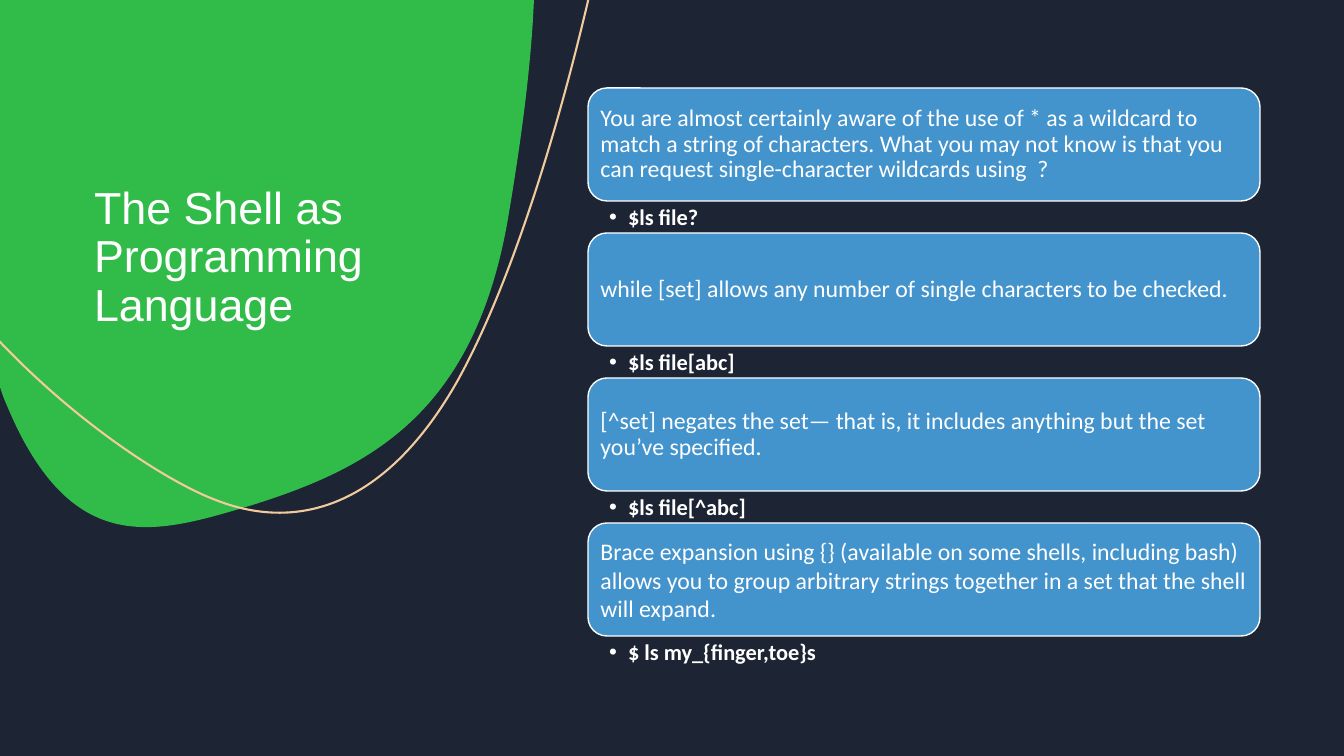
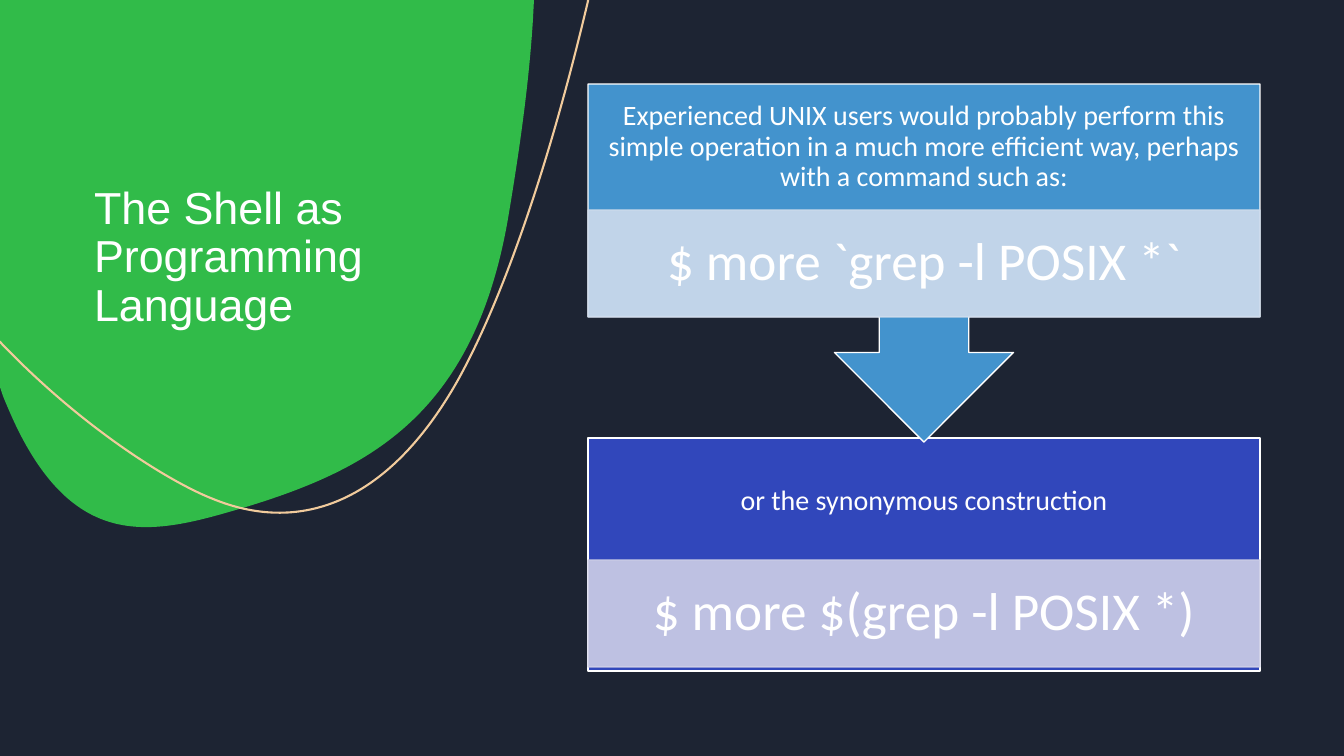
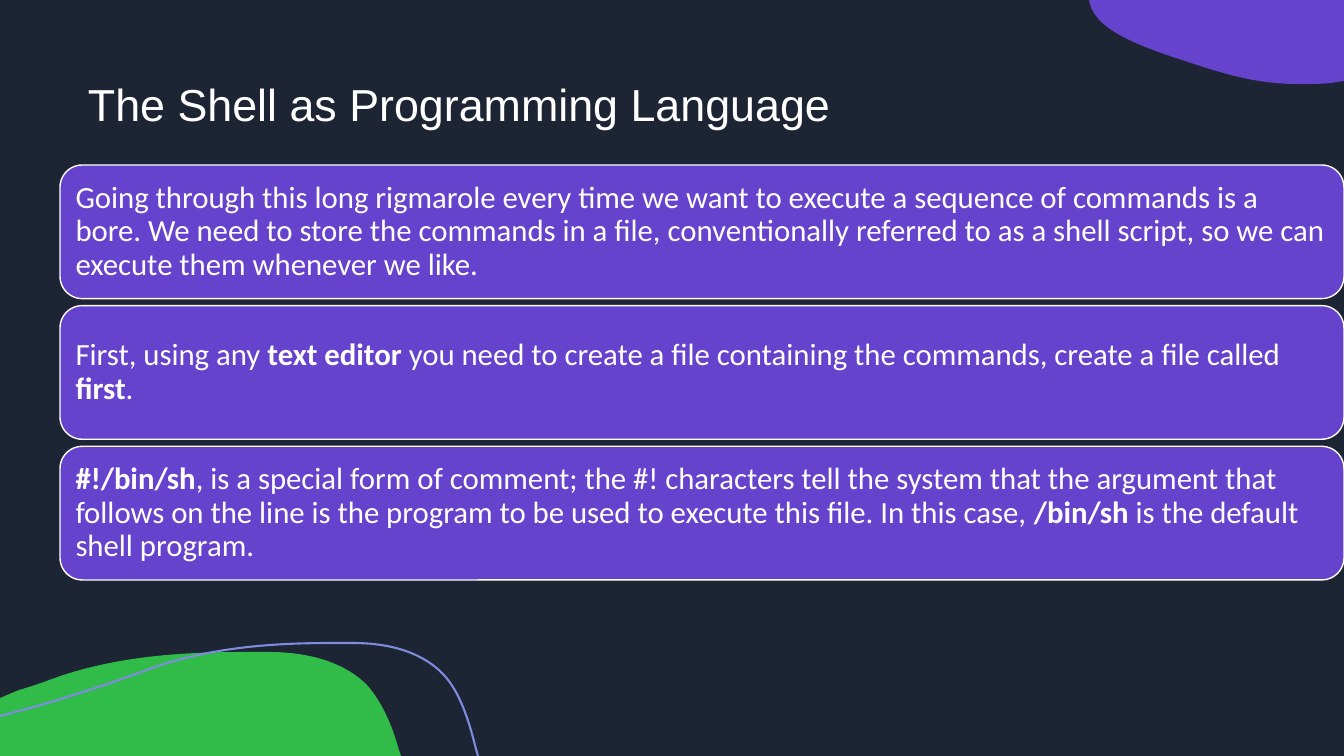
from dataclasses import dataclass

from lxml import etree
from pptx import Presentation
from pptx import util as u
from pptx.dml.color import RGBColor
from pptx.enum import shapes, text
from pptx.oxml import ns

PX = 914400 / 100.8
WIDE, HIGH = 1344, 756
KIND = shapes.MSO_SHAPE
MID, LOW = text.MSO_ANCHOR.MIDDLE, text.MSO_ANCHOR.BOTTOM
LEFT, MIDST = text.PP_ALIGN.LEFT, text.PP_ALIGN.CENTER


@dataclass(frozen=True)
class Theme:
    night: str = "1D2433"
    white: str = "FFFFFF"
    green: str = "31BB49"
    violet: str = "6643CD"
    blue: str = "4393CD"
    indigo: str = "3147BB"
    sand: str = "F1CB9C"
    lilac: str = "7D8CDD"
    pale: str = "CFDCED"
    mauve: str = "CECFE7"
    head: str = "Arial"
    body: str = "Calibri"
    title: int = 32
    code: int = 38
    large: int = 22
    step: int = 20
    card: int = 17
    note: int = 16


T = Theme()
TITLE = "The Shell as Programming Language"

# Outlines: pairs are corners, sixes are cubic curves (two controls, end).
BLOB = [(534, 0), (533, 20), (529, 83, 520, 147, 509, 213),
        (476, 414, 370, 469, 246, 507), (162, 532, 87, 553, 26, 445),
        (17, 429, 10, 413, 3, 396), (0, 387), (0, 0)]
ROPE = [(588, 0), (588, 1), (551, 158, 505, 295, 458, 380),
        (386, 508, 296, 533, 213, 499), (174, 484, 85, 431, 0, 342), (0, 341)]
CLOUD = [(255, 0), (0, 0), (1, 4), (8, 31, 53, 47, 96, 61),
         (132, 73, 169, 85, 214, 84), (223, 84, 232, 84, 242, 83), (255, 81)]
HILL = [(242, 9), (178, 9, 112, 14, 52, 36), (41, 40, 30, 44, 19, 47),
        (0, 55), (0, 113), (401, 113), (399, 107),
        (392, 82, 382, 59, 367, 42), (342, 17, 304, 9, 269, 9)]
WAVE = [(478, 113), (476, 106), (469, 78, 460, 48, 442, 30),
        (419, 7, 385, 0, 353, 0), (329, 0), (270, 0, 210, 5, 155, 24),
        (115, 39, 75, 52, 34, 64), (0, 73)]

WILDCARDS = [
    ("You are almost certainly aware of the use of * as a wildcard to match a "
     "string of characters. What you may not know is that you can request "
     "single-character wildcards using  ?", "$ls file?", 0.9),
    ("while [set] allows any number of single characters to be checked.",
     "$ls file[abc]", 0.9),
    ("[^set] negates the set— that is, it includes anything but the set "
     "you’ve specified.", "$ls file[^abc]", 0.9),
    ("Brace expansion using {} (available on some shells, including bash) "
     "allows you to group arbitrary strings together in a set that the shell "
     "will expand.", "$ ls my_{finger,toe}s", 1.0),
]
SCRIPTS = [
    ("Going through this long rigmarole every time we want to execute a "
     "sequence of commands is a bore. We need to store the commands in a file, "
     "conventionally referred to as a shell script, so we can execute them "
     "whenever we like.", None, 0.9),
    ("First, using any **text editor **you need to create a file containing "
     "the commands, create a file called **first**.", None, 0.9),
    ("**#!/bin/sh**, is a special form of comment; the #! characters tell the "
     "system that the argument that follows on the line is the program to be "
     "used to execute this file. In this case, **/bin/sh **is the default "
     "shell program.", None, 0.9),
]


def emu(px):
    return u.Emu(round(px * PX))


def assign(item, **values):
    for name, value in values.items():
        setattr(item, name, value)


def place(shape, box):
    names = ("left", "top", "width", "height")
    assign(shape, **{name: emu(px) for name, px in zip(names, box)})


def paint(shape, fill=None, line=None, weight=1):
    shape.shadow.inherit = False
    for part, tint in ((shape.fill, fill), (shape.line.fill, line)):
        if tint:
            part.solid()
            part.fore_color.rgb = RGBColor.from_string(tint)
        else:
            part.background()
    if line:
        shape.line.width = u.Pt(weight)


def fade(shape, share):
    """Make fill and line opaque by the given percentage only."""
    for tint in shape.element.spPr.iter(ns.qn("a:srgbClr")):
        etree.SubElement(tint, ns.qn("a:alpha"), val=str(share * 1000))


def add(slide, kind, box, **look):
    shape = slide.shapes.add_shape(kind, *map(emu, box))
    paint(shape, **look)
    return shape


def label(slide, box):
    return slide.shapes.add_textbox(*map(emu, box))


def write(shape, words, size, font=T.body, bold=False, align=LEFT,
          anchor=MID, pads=(7, 7, 7, 7), space=0.9):
    """Fill the shape with one paragraph; ** switches bold on and off."""
    sides = ("margin_left", "margin_top", "margin_right", "margin_bottom")
    frame = shape.text_frame
    assign(frame, word_wrap=True, auto_size=text.MSO_AUTO_SIZE.NONE,
           vertical_anchor=anchor,
           **{side: emu(pad) for side, pad in zip(sides, pads)})
    para = frame.paragraphs[0]
    assign(para, alignment=align, line_spacing=space)
    for i, part in enumerate(words.split("**")):
        if part:
            run = para.add_run()
            run.text = part
            assign(run.font, name=font, size=u.Pt(size), bold=bold or i % 2 == 1)
            run.font.color.rgb = RGBColor.from_string(T.white)
    return para


def bullet(para, indent):
    props = para._p.get_or_add_pPr()
    props.set("marL", str(emu(indent)))
    props.set("indent", str(-emu(indent)))
    etree.SubElement(props, ns.qn("a:buFont"), typeface="Arial")
    etree.SubElement(props, ns.qn("a:buChar"), char="•")


def pairs(part):
    return list(zip(part[::2], part[1::2]))


def trace(parts, steps=16):
    """Turn corners and cubic curves into points, to learn their extent."""
    points = [parts[0]]
    for part in parts[1:]:
        if len(part) == 2:
            points.append(part)
            continue
        knots = [points[-1], *pairs(part)]
        for i in range(1, steps + 1):
            t = i / steps
            mix = ((1 - t) ** 3, 3 * t * (1 - t) ** 2, 3 * t * t * (1 - t), t ** 3)
            points.append(tuple(sum(m * k[axis] for m, k in zip(mix, knots))
                                for axis in (0, 1)))
    return points


def bend(shape, x, y, parts):
    """Replace the traced lines of a freeform by its corners and curves."""
    route = shape.element.spPr.find(".//" + ns.qn("a:path"))
    for line in route.findall(ns.qn("a:lnTo")):
        route.remove(line)
    for spot, part in enumerate(parts[1:], 1):
        tag = "a:lnTo" if len(part) == 2 else "a:cubicBezTo"
        move = etree.Element(ns.qn(tag))
        for a, b in pairs(part):
            etree.SubElement(move, ns.qn("a:pt"), x=str(emu(x + a) - shape.left),
                             y=str(emu(y + b) - shape.top))
        route.insert(spot, move)


def outline(slide, x, y, parts, **look):
    points = [(emu(x + a), emu(y + b)) for a, b in trace(parts)]
    pen = slide.shapes.build_freeform(*points[0], scale=1.0)
    pen.add_line_segments(points[1:], close="fill" in look)
    shape = pen.convert_to_shape()
    bend(shape, x, y, parts)
    paint(shape, **look)


def heading(slide, box, anchor):
    """Format the title and bring it in front of the backdrop."""
    title = slide.shapes.title
    place(title, box)
    write(title, TITLE, T.title, T.head, anchor=anchor, pads=(10, 5, 10, 5))
    title.element.getparent().append(title.element)


def ground(slide):
    add(slide, KIND.RECTANGLE, (0, 0, WIDE, HIGH), fill=T.night)


def side(slide, x, y):
    """Blob at the left edge with the title on it."""
    outline(slide, x, y, BLOB, fill=T.green)
    outline(slide, x, y, ROPE, line=T.sand, weight=1.5)
    heading(slide, (x + 84, y + 84, 336, 252), LOW)


def corners(slide, wide, high):
    outline(slide, wide - 255, 0, CLOUD, fill=T.violet)
    outline(slide, 0, high - 113, HILL, fill=T.green)
    outline(slide, 0, high - 113, WAVE, line=T.lilac, weight=1.5)


def cards(slide, box, items, gap, fill, size, pad):
    """Stack equal cards; a card's note fills the gap below it."""
    x, y, w, h = box
    pitch = (h + gap) / len(items)
    for i, (words, note, space) in enumerate(items):
        top = y + i * pitch
        card = add(slide, KIND.ROUNDED_RECTANGLE, (x, top, w, pitch - gap),
                   fill=fill, line=T.white)
        write(card, words, size, pads=(pad,) * 4, space=space)
        if note:
            spot = label(slide, (x, top + pitch - gap, w, gap))
            para = write(spot, note, T.note, bold=True, space=1.0,
                         anchor=text.MSO_ANCHOR.TOP, pads=(21, 2, 12, 2))
            bullet(para, 19)


def step(slide, box, kind, drop, words, code, fill, band):
    """Panel with a heading and, some way down, a code band."""
    x, y, w, h = box
    add(slide, kind, box, fill=fill, line=T.white)
    write(label(slide, (x, y, w, 126)), words, T.step, align=MIDST, pads=(16,) * 4)
    strip = add(slide, KIND.RECTANGLE, (x, y + drop, w, 107), fill=band, line=band)
    fade(strip, 90)
    write(strip, code, T.code, align=MIDST, pads=(30, 5, 30, 5))


def wildcards(slide):
    side(slide, 0, 0)
    cards(slide, (588, 88, 672, 548), WILDCARDS, 32, T.blue, T.card, 7)


def commands(slide):
    side(slide, 0, 0)
    step(slide, (588, 438, 672, 233), KIND.RECTANGLE, 122,
         "or the synonymous construction", "$ more $(grep -l POSIX *)",
         T.indigo, T.mauve)
    step(slide, (588, 84, 672, 358), KIND.DOWN_ARROW_CALLOUT, 126,
         "Experienced UNIX users would probably perform this simple operation "
         "in a much more efficient way, perhaps with a command such as:",
         "$ more `grep -l POSIX *`", T.blue, T.pale)


def scripts(slide):
    corners(slide, WIDE, HIGH)
    cards(slide, (60, 165, 1284, 415), SCRIPTS, 7, T.violet, T.large, 9)
    heading(slide, (78, 23, 1187, 168), MID)


def main():
    deck = Presentation()
    assign(deck, slide_width=emu(WIDE), slide_height=emu(HIGH))
    base = deck.slide_master.background.fill
    base.solid()
    base.fore_color.rgb = RGBColor.from_string(T.night)
    for build in (wildcards, commands, scripts):
        slide = deck.slides.add_slide(deck.slide_layouts[5])
        ground(slide)
        build(slide)
    deck.save("out.pptx")


if __name__ == "__main__":
    main()
